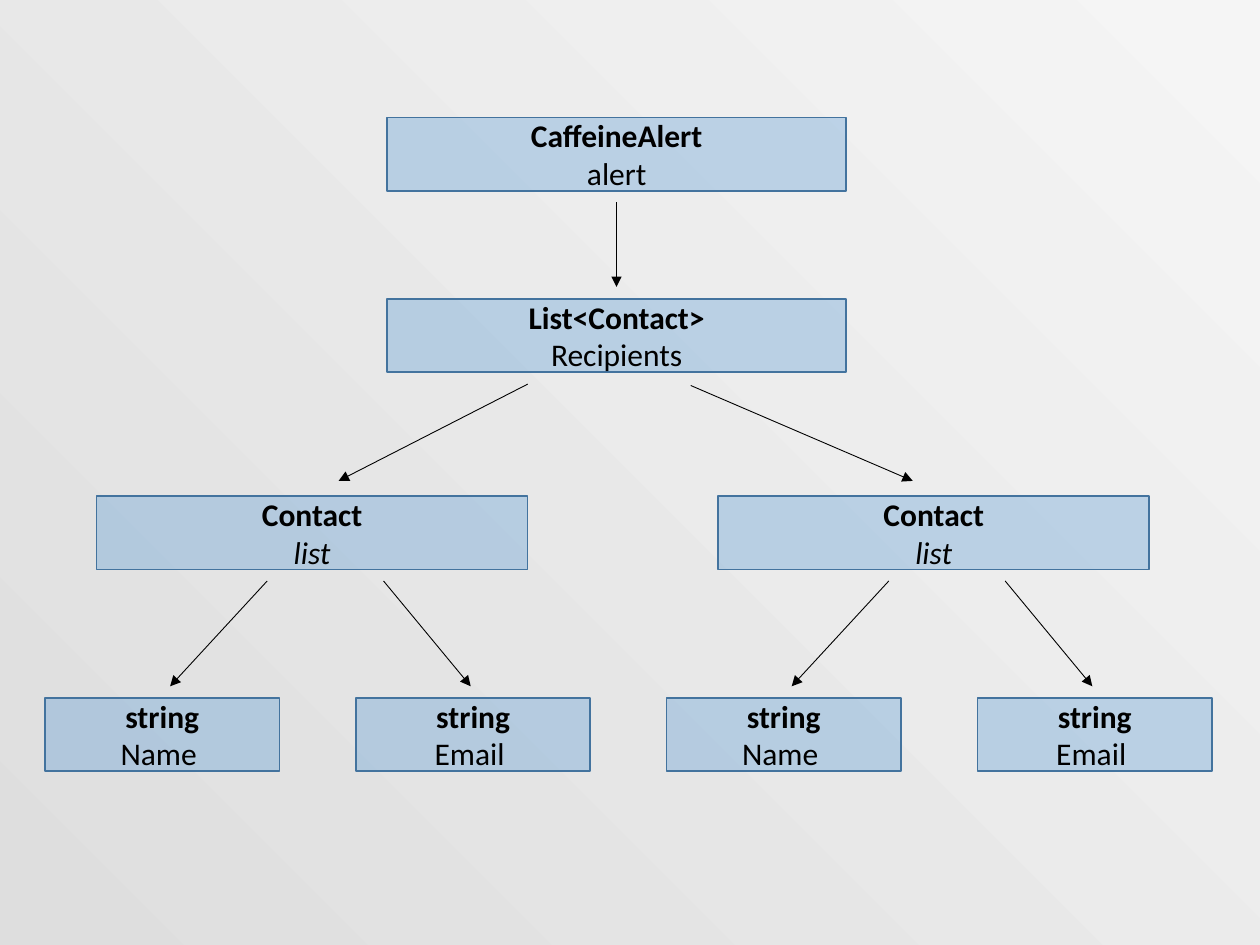
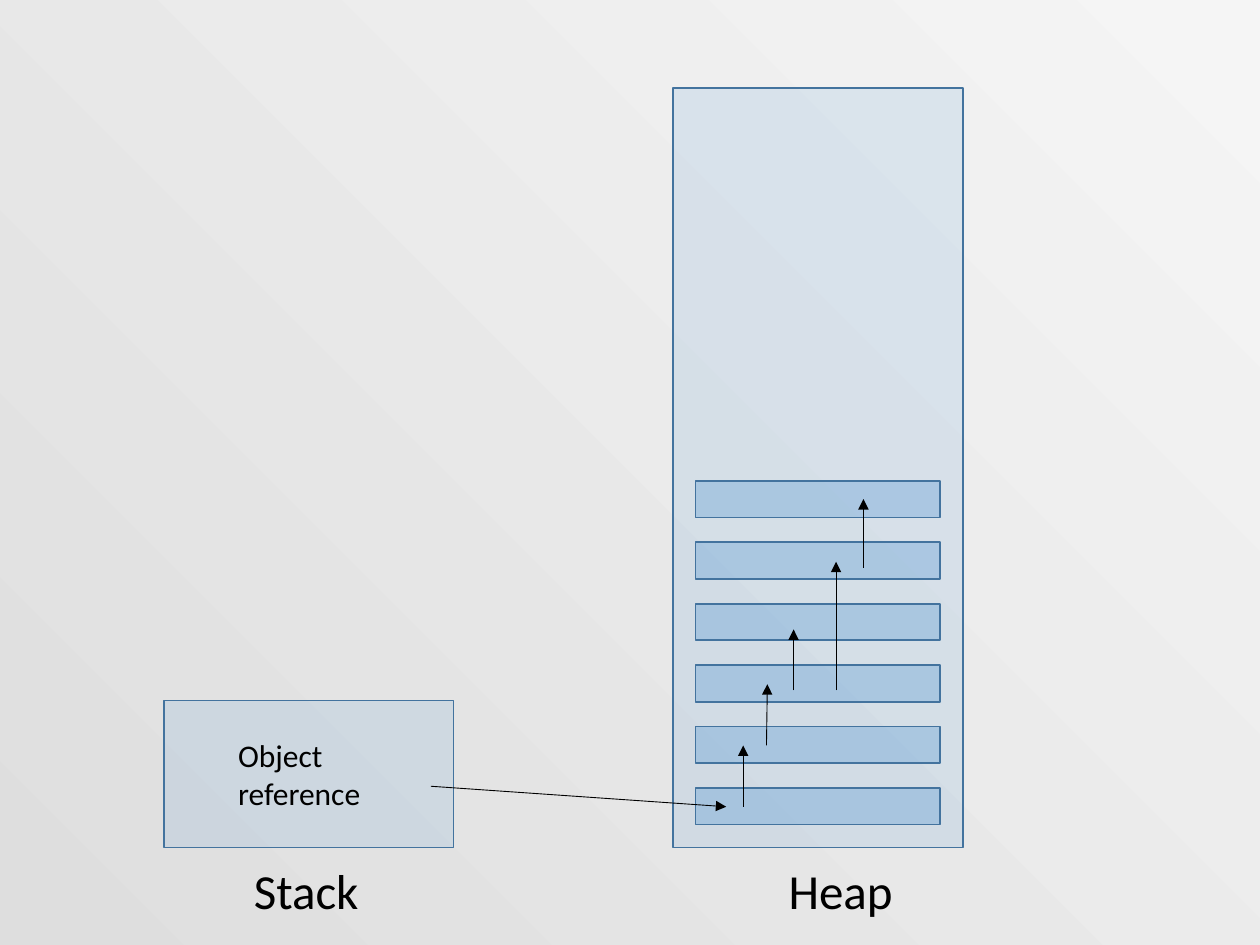
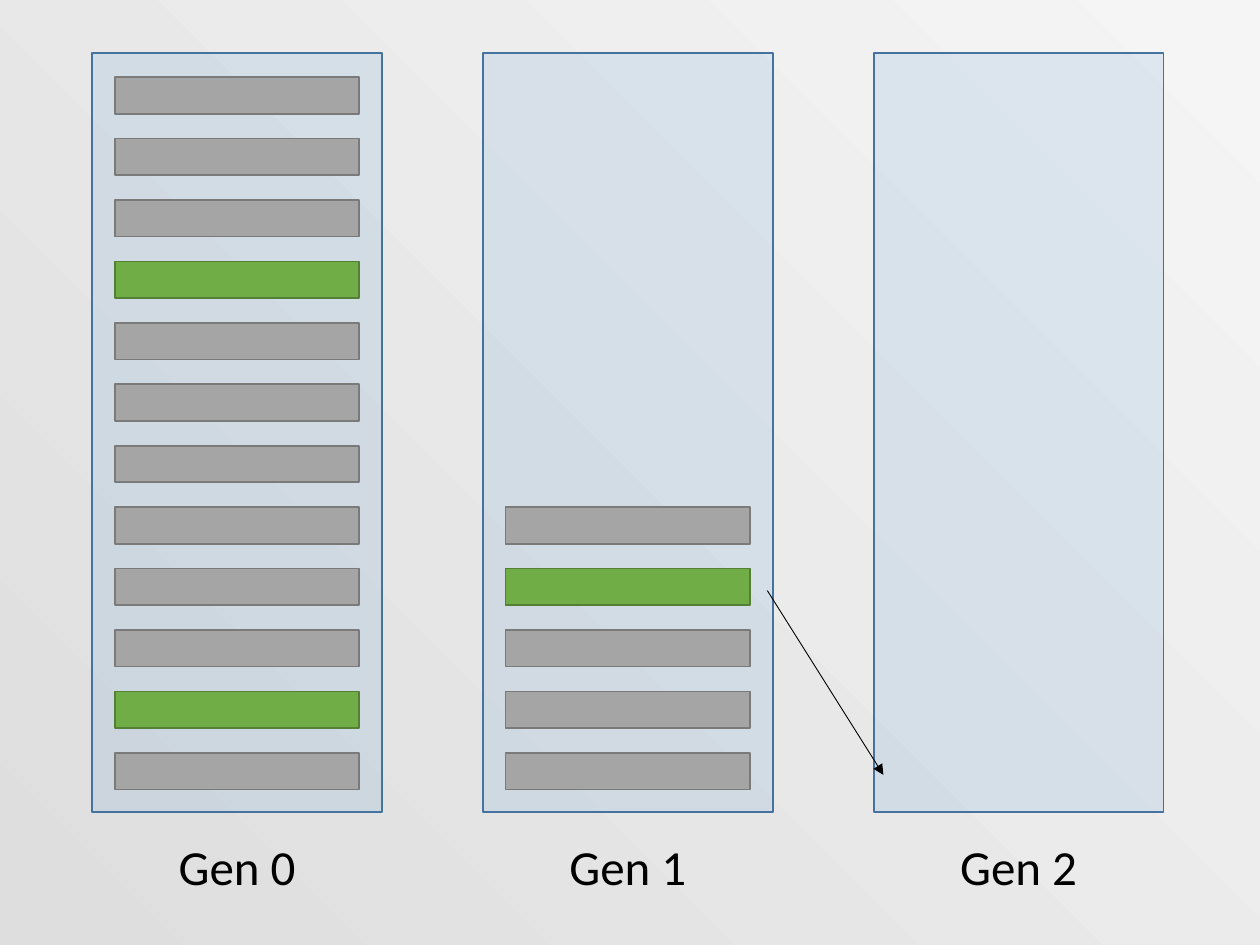
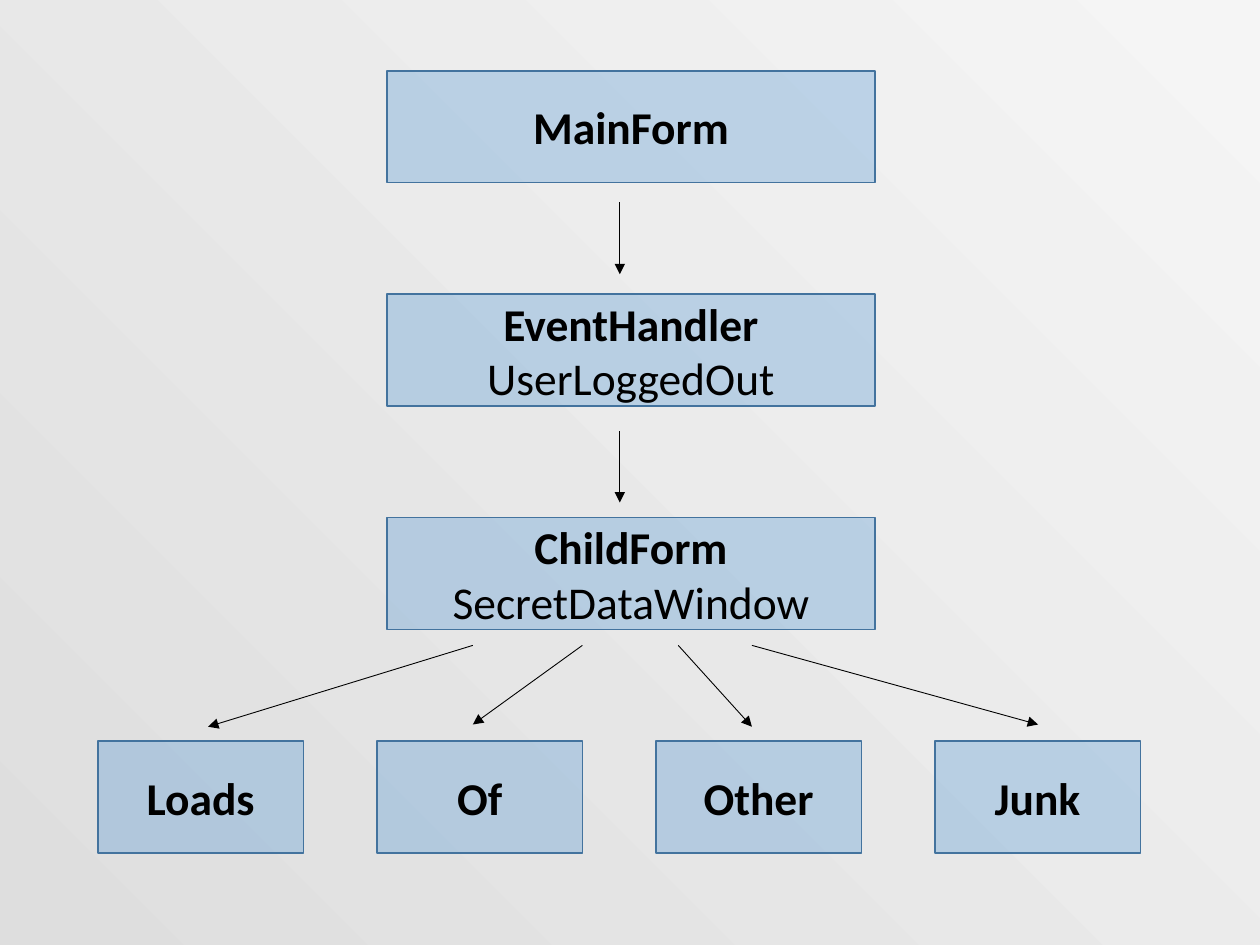
from dataclasses import dataclass

from lxml import etree
from pptx import Presentation
from pptx import util as u
from pptx.dml.color import RGBColor
from pptx.enum import shapes, text
from pptx.oxml.ns import qn


@dataclass(frozen=True)
class Theme:
    font: str = "Calibri"
    ink: str = "000000"
    blue: str = "5B9BD5"
    blue_edge: str = "43739E"
    gray: str = "A5A5A5"
    gray_edge: str = "7A7A7A"
    green: str = "70AD47"
    green_edge: str = "538035"
    page_light: str = "F5F5F5"
    page_dark: str = "DEDEDE"
    body: int = 18
    large: int = 26
    caption: int = 28
    edge_width: float = 1
    arrow_width: float = 0.5


@dataclass(frozen=True)
class Box:
    left: float
    top: float
    width: float
    height: float

    def inner(self, left, top, width, height):
        """A box placed relative to this one."""
        return Box(self.left + left, self.top + top, width, height)

    def points(self):
        return [u.Pt(n) for n in (self.left, self.top, self.width, self.height)]


THEME = Theme()
# Fill, edge and opacity in percent
NODE = (THEME.blue, THEME.blue_edge, 35)
AREA = (THEME.blue, THEME.blue_edge, 15)
DEAD = (THEME.gray, THEME.gray_edge, 100)
LIVE = (THEME.green, THEME.green_edge, 100)

BOLD, PLAIN, ITALIC = {"bold": True}, {}, {"italic": True}
COLUMN_WIDTH, COLUMN_HEIGHT = 165.6, 434


def write(shape, lines, size, align=text.PP_ALIGN.CENTER):
    """Write (words, format) lines, one paragraph each."""
    frame = shape.text_frame
    frame.word_wrap = True
    for index, (words, style) in enumerate(lines):
        para = frame.add_paragraph() if index else frame.paragraphs[0]
        para.alignment = align
        span = para.add_run()
        span.text = words
        span.font.color.rgb = RGBColor.from_string(THEME.ink)
        formats = {"name": THEME.font, "size": u.Pt(size), **style}
        for name, value in formats.items():
            setattr(span.font, name, value)


def add_rect(page, box, look):
    fill, edge, opacity = look
    rect = page.shapes.add_shape(shapes.MSO_SHAPE.RECTANGLE, *box.points())
    rect.shadow.inherit = False
    rect.fill.solid()
    rect.fill.fore_color.rgb = RGBColor.from_string(fill)
    if opacity < 100:
        color = rect.element.spPr.find(qn("a:solidFill"))[0]
        etree.SubElement(color, qn("a:alpha"), val=str(opacity * 1000))
    rect.line.color.rgb = RGBColor.from_string(edge)
    rect.line.width = u.Pt(THEME.edge_width)
    return rect


def add_node(page, box, lines, size):
    rect = add_rect(page, box, NODE)
    rect.text_frame.vertical_anchor = text.MSO_ANCHOR.MIDDLE
    write(rect, lines, size)


def add_arrows(page, box, arrows):
    """Draw (x1, y1, x2, y2) arrows measured from the corner of the box."""
    for x1, y1, x2, y2 in arrows:
        start = box.inner(x1, y1, 0, 0).points()[:2]
        end = box.inner(x2, y2, 0, 0).points()[:2]
        arrow = page.shapes.add_connector(shapes.MSO_CONNECTOR.STRAIGHT, *start, *end)
        arrow.line.color.rgb = RGBColor.from_string(THEME.ink)
        arrow.line.width = u.Pt(THEME.arrow_width)
        properties = arrow.element.spPr
        etree.SubElement(properties.find(qn("a:ln")), qn("a:tailEnd"), type="triangle")
        etree.SubElement(properties, qn("a:effectLst"))


def add_caption(page, box, words):
    caption = page.shapes.add_textbox(*box.points())
    write(caption, [(words, PLAIN)], THEME.caption)
    caption.text_frame.auto_size = text.MSO_AUTO_SIZE.SHAPE_TO_FIT_TEXT


def add_column(page, box, looks):
    """A memory area with its cells stacked from the bottom up."""
    add_rect(page, box, AREA)
    for row, look in enumerate(looks):
        add_rect(page, box.inner(12.9, 400 - 35.1 * row, 139.7, 20.9), look)


def add_contact(page, box):
    """A contact node above its two string fields."""
    add_node(page, box.inner(29.5, 0, 246.3, 42),
             [("Contact", BOLD), ("list", ITALIC)], THEME.body)
    for index, field in enumerate(("Name ", "Email ")):
        add_node(page, box.inner(177.7 * index, 115.2, 134, 42),
                 [("string", BOLD), (field, PLAIN)], THEME.body)
    add_arrows(page, box, [(127, 48.5, 71.5, 108.7), (193.5, 48.5, 243.3, 108.7)])


def alert_tree(page, box):
    root = [("CaffeineAlert", "alert"), ("List<Contact>", "Recipients")]
    for level, (kind, name) in enumerate(root):
        add_node(page, box.inner(221.2, 67.1 + 103.6 * level, 262.4, 42),
                 [(kind, BOLD), (name, PLAIN)], THEME.body)
    for index in range(2):
        add_contact(page, box.inner(25.7 + 355.2 * index, 283.5, 311.7, 157.2))
    add_arrows(page, box, [
        (352.3, 115.5, 352.3, 164),
        (301.6, 219.5, 193.5, 274.8),
        (394.7, 220.3, 521.6, 274.8),
    ])


def stack_and_heap(page, box):
    # Heap
    heap = box.inner(384.6, 50.3, COLUMN_WIDTH, COLUMN_HEIGHT)
    add_column(page, heap, [NODE] * 6)

    # Stack
    stack = box.inner(93.6, 400.3, COLUMN_WIDTH, 84)
    reference = add_rect(page, stack, AREA)
    reference.text_frame.margin_left = u.Pt(42.5)
    reference.text_frame.vertical_anchor = text.MSO_ANCHOR.MIDDLE
    write(reference, [("Object reference", PLAIN)], THEME.body, text.PP_ALIGN.LEFT)

    # Captions and references
    for left, words in ((79.2, "Stack"), (384.6, "Heap")):
        add_caption(page, box.inner(left, 488.2, 191.5, 41.2), words)
    add_arrows(page, box, [
        (246.3, 449.3, 415, 461),
        (424.7, 461, 424.7, 426),
        (438, 426, 438.5, 391),
        (453.5, 394.5, 453.5, 359.7),
        (477.8, 394.5, 477.8, 321),
        (493.4, 324.5, 493.4, 285.2),
    ])


def generations(page, box):
    columns = [
        [DEAD, LIVE] + [DEAD] * 6 + [LIVE] + [DEAD] * 3,
        [DEAD] * 3 + [LIVE, DEAD],
        [],
    ]
    for index, looks in enumerate(columns):
        column = box.inner(52.7 + 223.3 * index, 30.2, COLUMN_WIDTH, COLUMN_HEIGHT)
        add_column(page, column, looks)
        add_caption(page, column.inner(0, 444.3, COLUMN_WIDTH, 41.2), f"Gen {index}")
    add_arrows(page, box, [(438.5, 337.5, 504.8, 442.8)])


def form_tree(page, box):
    chain = [
        [("MainForm", BOLD)],
        [("EventHandler", BOLD), ("UserLoggedOut", PLAIN)],
        [("ChildForm", BOLD), ("SecretDataWindow", PLAIN)],
    ]
    for level, lines in enumerate(chain):
        add_node(page, box.inner(221.2, 40.4 + 127.7 * level, 278.9, 64), lines, THEME.large)
    for index, word in enumerate(("Loads", "Of", "Other", "Junk")):
        add_node(page, box.inner(55.9 + 159.4 * index, 423.4, 117.6, 64),
                 [(word, BOLD)], THEME.large)
    add_arrows(page, box, [
        (354.2, 115.7, 354.2, 156.7),
        (354.2, 246.4, 354.2, 287.2),
        (270.2, 368.8, 118.9, 415.3),
        (332.8, 368.8, 270.2, 414),
        (387.6, 368.8, 429.7, 415.3),
        (429.7, 368.8, 593.2, 414),
    ])


def paint_background(master):
    fill = master.background.fill
    fill.gradient()
    fill.gradient_angle = 225
    for stop, color in zip(fill.gradient_stops, (THEME.page_light, THEME.page_dark)):
        stop.color.rgb = RGBColor.from_string(color)


def main():
    deck = Presentation()
    canvas = Box(0, 0, 720, 540)
    deck.slide_width, deck.slide_height = u.Pt(canvas.width), u.Pt(canvas.height)
    paint_background(deck.slide_master)
    blank = deck.slide_layouts.get_by_name("Blank")
    for build in (alert_tree, stack_and_heap, generations, form_tree):
        build(deck.slides.add_slide(blank), canvas)
    deck.save("out.pptx")


if __name__ == "__main__":
    main()
